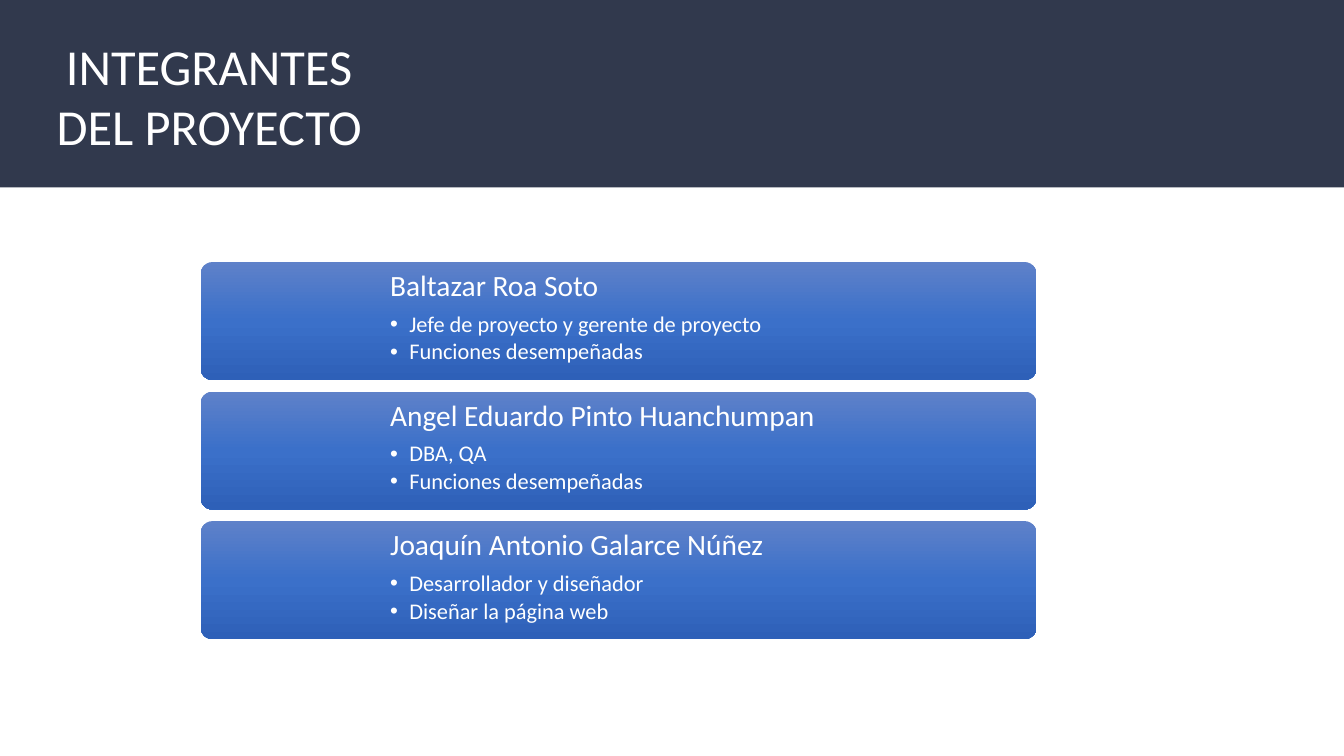
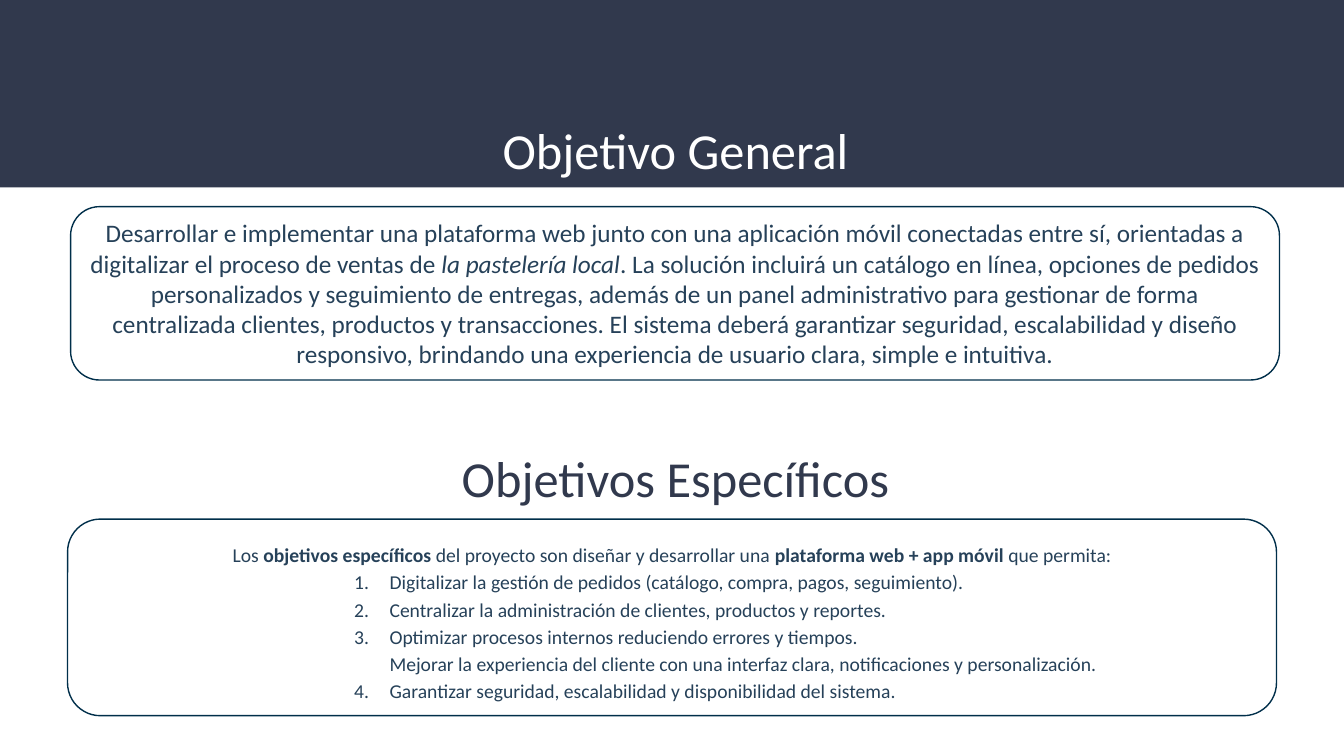
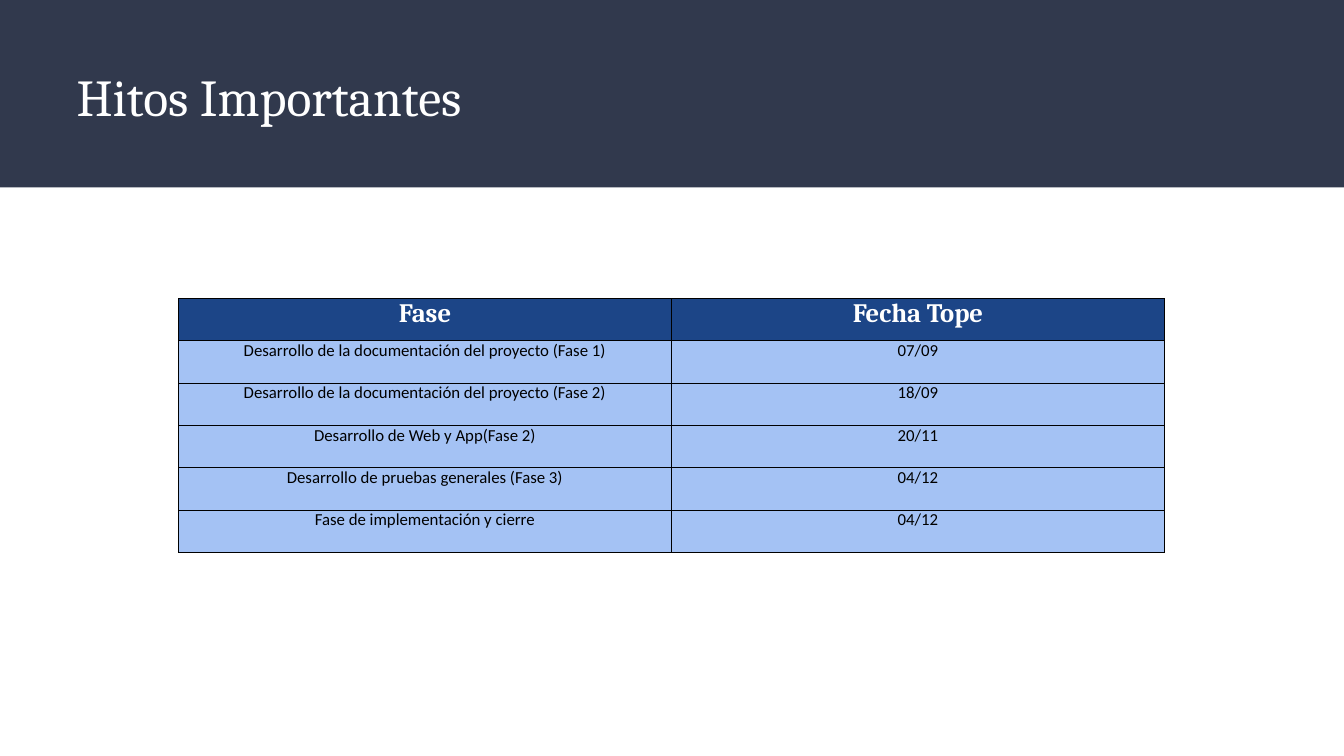
from copy import deepcopy

from pptx import Presentation
from pptx.dml.color import RGBColor
from pptx.enum.shapes import MSO_SHAPE
from pptx.enum.text import MSO_ANCHOR, MSO_AUTO_SIZE, PP_ALIGN
from pptx.oxml.ns import qn
from pptx.util import Inches, Pt
from lxml import etree

RECT, ROUNDED = MSO_SHAPE.RECTANGLE, MSO_SHAPE.ROUNDED_RECTANGLE
LEFT, CENTER = PP_ALIGN.LEFT, PP_ALIGN.CENTER
TOP, MIDDLE = MSO_ANCHOR.TOP, MSO_ANCHOR.MIDDLE
NO_AUTOFIT = MSO_AUTO_SIZE.NONE

NAVY = RGBColor(0x31, 0x39, 0x4D)
WHITE = RGBColor(0xFF, 0xFF, 0xFF)
BLACK = RGBColor(0, 0, 0)
INK = RGBColor(0x26, 0x41, 0x59)
OUTLINE = RGBColor(0x00, 0x2F, 0x4A)
HEADER_BLUE = RGBColor(0x1C, 0x45, 0x87)
ROW_BLUE = RGBColor(0xA4, 0xC2, 0xF4)
CARD_GRADIENT = [
    (0, RGBColor(0x5E, 0x81, 0xC9)),
    (0.5, RGBColor(0x3B, 0x70, 0xC9)),
    (1, RGBColor(0x2E, 0x60, 0xB8)),
]
SANS, SERIF = "Calibri", "Cambria"
SLIDE_W, SLIDE_H, BAND_H = 13.33, 7.5, 1.86

MEMBERS = [
    ("Baltazar Roa Soto",
     ["Jefe de proyecto y gerente de proyecto", "Funciones desempeñadas"]),
    ("Angel Eduardo Pinto Huanchumpan", ["DBA, QA", "Funciones desempeñadas"]),
    ("Joaquín Antonio Galarce Núñez",
     ["Desarrollador y diseñador", "Diseñar la página web"]),
]
# Pieces of running text: (text, bold, italic)
GENERAL_GOAL = [
    ("Desarrollar e implementar una plataforma web junto con una aplicación "
     "móvil conectadas entre sí, orientadas a digitalizar el proceso de "
     "ventas de ", False, False),
    ("la pastelería local", False, True),
    (". La solución incluirá un catálogo en línea, opciones de pedidos "
     "personalizados y seguimiento de entregas, además de un panel "
     "administrativo para gestionar de forma centralizada clientes, productos "
     "y transacciones. El sistema deberá garantizar seguridad, escalabilidad "
     "y diseño responsivo, brindando una experiencia de usuario clara, simple "
     "e intuitiva.", False, False),
]
SPECIFIC_INTRO = [
    ("Los ", False, False),
    ("objetivos específicos", True, False),
    (" del proyecto son diseñar y desarrollar una ", False, False),
    ("plataforma web + app móvil", True, False),
    (" que permita:", False, False),
]
SPECIFIC_GOALS = [
    "Digitalizar la gestión de pedidos (catálogo, compra, pagos, seguimiento).",
    "Centralizar la administración de clientes, productos y reportes.",
    "Optimizar procesos internos reduciendo errores y tiempos.\n"
    "Mejorar la experiencia del cliente con una interfaz clara, "
    "notificaciones y personalización.",
    "Garantizar seguridad, escalabilidad y disponibilidad del sistema.",
]
MILESTONES = [
    ("Fase", "Fecha Tope"),
    ("Desarrollo de la documentación del proyecto (Fase 1)", "07/09"),
    ("Desarrollo de la documentación del proyecto (Fase 2)", "18/09"),
    ("Desarrollo de Web y App(Fase 2)", "20/11"),
    ("Desarrollo de pruebas generales (Fase 3)", "04/12"),
    ("Fase de implementación y cierre", "04/12"),
]


def inches(box):
    return [Inches(length) for length in box]


def format_paragraph(paragraph, size, color, font=SANS, align=LEFT,
                     spacing=1.0, before=0, bold=None):
    paragraph.alignment = align
    paragraph.line_spacing = spacing
    paragraph.space_before = Pt(before)
    for run in paragraph.runs:
        run.font.name = font
        run.font.size = Pt(size)
        run.font.color.rgb = color
        if bold is not None:
            run.font.bold = bold


def add_pieces(paragraph, pieces):
    for text, bold, italic in pieces:
        run = paragraph.add_run()
        run.text = text
        run.font.bold = bold
        run.font.italic = italic


def add_marker(paragraph, color, tag, indent, hanging, **attributes):
    """Give a list paragraph its bullet or number and hanging indent."""
    properties = paragraph._p.get_or_add_pPr()
    properties.set("marL", str(Inches(indent)))
    properties.set("indent", str(-Inches(hanging)))
    marker_color = etree.SubElement(properties, qn("a:buClr"))
    etree.SubElement(marker_color, qn("a:srgbClr"), val=str(color))
    etree.SubElement(properties, qn("a:buFont"), typeface="Arial")
    etree.SubElement(properties, qn(tag), **attributes)


def add_band(slide):
    """Top band, stored in the layout so that every slide shows it."""
    band = slide.shapes.add_shape(RECT, *inches((0, 0, SLIDE_W, BAND_H)))
    band.shadow.inherit = False
    band.fill.solid()
    band.fill.fore_color.rgb = NAVY
    band.line.fill.background()
    slide.slide_layout.shapes.element.insert(2, band.element)


def set_title(slide, text, box, size=36, font=SANS, align=CENTER, spacing=1.0):
    title = slide.shapes.title
    title.left, title.top, title.width, title.height = inches(box)
    frame = title.text_frame
    frame.text = text
    frame.auto_size = NO_AUTOFIT
    frame.vertical_anchor = MIDDLE
    format_paragraph(frame.paragraphs[0], size, WHITE, font, align, spacing)


def add_text_box(slide, box, margin=None):
    frame = slide.shapes.add_textbox(*inches(box)).text_frame
    frame.word_wrap = True
    frame.vertical_anchor = TOP
    if margin is not None:
        frame.margin_left = frame.margin_right = Inches(margin)
        frame.margin_top = frame.margin_bottom = Inches(margin)
    return frame


def add_member_card(slide, box, name, duties):
    left, top, width, height = box
    card = slide.shapes.add_shape(ROUNDED, *inches(box))
    card.adjustments[0] = 0.1
    card.shadow.inherit = False
    card.line.fill.background()
    card.fill.gradient()
    card.fill.gradient_angle = 270
    stop_list = card.element.spPr.find(".//" + qn("a:gsLst"))
    stop_list.insert(1, deepcopy(stop_list[0]))
    for stop, (position, color) in zip(card.fill.gradient_stops, CARD_GRADIENT):
        stop.position = position
        stop.color.rgb = color

    # Name and duties, right of the free space for a portrait
    offset = 1.79
    frame = add_text_box(slide, (left + offset, top, width - offset, height), 0.09)
    frame.text = name
    format_paragraph(frame.paragraphs[0], 21, WHITE, spacing=0.9)
    for index, duty in enumerate(duties):
        paragraph = frame.add_paragraph()
        paragraph.text = duty
        add_marker(paragraph, WHITE, "a:buChar", 0.19, 0.19, char="•")
        format_paragraph(paragraph, 16, WHITE, spacing=0.9,
                         before=2.4 if index else 7.3)


def add_goal_panel(slide, box):
    panel = slide.shapes.add_shape(ROUNDED, *inches(box))
    panel.shadow.inherit = False
    panel.fill.solid()
    panel.fill.fore_color.rgb = WHITE
    panel.line.color.rgb = OUTLINE
    panel.line.width = Pt(1)
    frame = panel.text_frame
    frame.word_wrap = True
    frame.vertical_anchor = MIDDLE
    return frame


def add_border(cell):
    properties = cell._tc.get_or_add_tcPr()
    for side in ("a:lnL", "a:lnR", "a:lnT", "a:lnB"):
        line = etree.SubElement(properties, qn(side), w=str(Pt(0.5)))
        fill = etree.SubElement(line, qn("a:solidFill"))
        etree.SubElement(fill, qn("a:srgbClr"), val=str(BLACK))


def add_milestone_table(slide, box):
    table = slide.shapes.add_table(
        len(MILESTONES), len(MILESTONES[0]), *inches(box)).table
    table.horz_banding = False
    for row_index, row in enumerate(MILESTONES):
        is_header = row_index == 0
        for column_index, text in enumerate(row):
            cell = table.cell(row_index, column_index)
            cell.text = text
            cell.margin_left = cell.margin_right = Inches(0.08)
            cell.margin_top = cell.margin_bottom = 0
            add_border(cell)
            cell.fill.solid()
            cell.fill.fore_color.rgb = HEADER_BLUE if is_header else ROW_BLUE
            format_paragraph(
                cell.text_frame.paragraphs[0],
                19 if is_header else 12,
                WHITE if is_header else BLACK,
                SERIF if is_header else SANS,
                CENTER, bold=is_header)


def build_members(slide):
    set_title(slide, "INTEGRANTES DEL PROYECTO", (0.44, 0.29, 3.27, 1.31))
    card_height, pitch = 1.17, 1.285
    for index, (name, duties) in enumerate(MEMBERS):
        box = (1.99, 2.6 + index * pitch, 8.29, card_height)
        add_member_card(slide, box, name, duties)


def build_goals(slide):
    # General goal
    set_title(slide, "Objetivo General", (0.17, 1.13, 13.06, 0.71))
    general = add_goal_panel(slide, (0.7, 2.05, 11.99, 1.72)).paragraphs[0]
    add_pieces(general, GENERAL_GOAL)
    format_paragraph(general, 18, INK, align=CENTER)

    # Specific goals
    heading = add_text_box(slide, (0.17, 4.39, 13.06, 0.71))
    heading.text = "Objetivos Específicos"
    format_paragraph(heading.paragraphs[0], 36, NAVY, align=CENTER)
    panel = add_goal_panel(slide, (0.67, 5.15, 11.99, 1.95))
    panel.margin_top = Inches(0.12)
    intro = panel.paragraphs[0]
    add_pieces(intro, SPECIFIC_INTRO)
    format_paragraph(intro, 14, INK, align=CENTER, spacing=1.15)
    for goal in SPECIFIC_GOALS:
        paragraph = panel.add_paragraph()
        paragraph.text = goal.replace("\n", "\v")
        add_marker(paragraph, INK, "a:buAutoNum", 3, 0.35, type="arabicPeriod")
        format_paragraph(paragraph, 14, INK, spacing=1.15)


def build_milestones(slide):
    set_title(slide, "Hitos Importantes", (0.66, 0.64, 11.5, 0.7),
              37, SERIF, LEFT, 0.9)
    add_milestone_table(slide, (1.77, 2.96, 9.78, 0.42 * len(MILESTONES)))


def main():
    presentation = Presentation()
    presentation.slide_width = Inches(SLIDE_W)
    presentation.slide_height = Inches(SLIDE_H)
    title_only = presentation.slide_layouts[5]
    builders = (build_members, build_goals, build_milestones)
    slides = [presentation.slides.add_slide(title_only) for _ in builders]
    add_band(slides[0])
    for build, slide in zip(builders, slides):
        build(slide)
    presentation.save("out.pptx")


if __name__ == "__main__":
    main()
